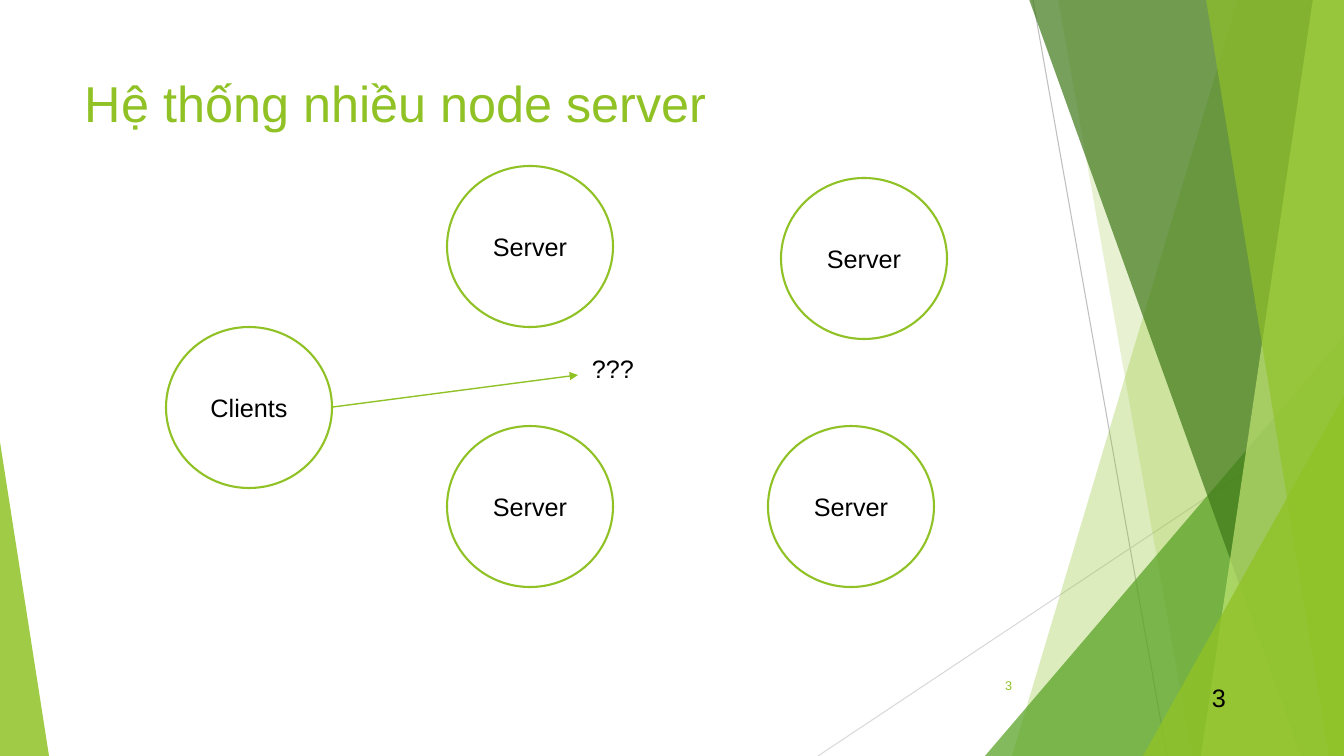
from lxml.etree import SubElement
from pptx import Presentation
from pptx.dml.color import RGBColor
from pptx.enum.shapes import MSO_CONNECTOR as Connector, MSO_SHAPE as Preset
from pptx.enum.text import MSO_ANCHOR as Anchor, MSO_AUTO_SIZE as AutoSize, PP_ALIGN as Align
from pptx.oxml.ns import qn
from pptx.util import Emu, Pt

PIXEL = 914400 / 100.8
WIDTH, HEIGHT = 1344, 756
FONT = "Arial"
GREEN, LEAF, FOREST, LIME = "90C226", "54A021", "3F7819", "C0E474"
BLACK, WHITE = "000000", "FFFFFF"
NODE_SIZE = (166, 161)


def px(length):
    return Emu(round(length * PIXEL))


def color(hex_string):
    return RGBColor.from_string(hex_string)


def fill_shape(shape, fill, opacity=100):
    shape.shadow.inherit = False
    shape.fill.solid()
    shape.fill.fore_color.rgb = color(fill)
    if opacity < 100:
        fill_color = shape.element.spPr.find(qn("a:solidFill"))[0]
        SubElement(fill_color, qn("a:alpha"), val=str(opacity * 1000))


def write_text(shape, text, size=18, ink=BLACK, align=Align.LEFT,
               anchor=Anchor.TOP, wrap=True, grow=False):
    frame = shape.text_frame
    frame.word_wrap = wrap
    frame.auto_size = AutoSize.SHAPE_TO_FIT_TEXT if grow else AutoSize.NONE
    frame.vertical_anchor = anchor
    paragraph = frame.paragraphs[0]
    paragraph.alignment = align
    run = paragraph.add_run()
    run.text = text
    run.font.name = FONT
    run.font.size = Pt(size)
    run.font.color.rgb = color(ink)


def add_text(slide, box, text, **text_format):
    shape = slide.shapes.add_textbox(*map(px, box))
    write_text(shape, text, **text_format)


def add_line(slide, start, end, ink, weight, arrow=False):
    connector = slide.shapes.add_connector(
        Connector.STRAIGHT, *map(px, start + end))
    connector.line.color.rgb = color(ink)
    connector.line.width = Pt(weight)
    properties = connector.element.spPr
    if arrow:
        SubElement(properties.find(qn("a:ln")), qn("a:tailEnd"), type="triangle")
    SubElement(properties, qn("a:effectLst"))


def add_facet(slide, top_left, bottom_left, fill, opacity):
    builder = slide.shapes.build_freeform(top_left, -1, scale=PIXEL)
    builder.add_line_segments(
        [(WIDTH, -1), (WIDTH, HEIGHT), (bottom_left, HEIGHT)], close=True)
    shape = builder.convert_to_shape()
    fill_shape(shape, fill, opacity)
    shape.line.fill.background()


def add_corner(slide, left, top, width, apex, fill, opacity):
    shape = slide.shapes.add_shape(
        Preset.ISOSCELES_TRIANGLE, *map(px, (left, top, width, HEIGHT - top)))
    shape.adjustments[0] = apex
    fill_shape(shape, fill, opacity)
    shape.line.fill.background()


def add_node(slide, left, top, label):
    shape = slide.shapes.add_shape(
        Preset.OVAL, *map(px, (left, top) + NODE_SIZE))
    fill_shape(shape, WHITE)
    shape.line.color.rgb = color(GREEN)
    shape.line.width = Pt(1.5)
    write_text(shape, label, align=Align.CENTER, anchor=Anchor.MIDDLE)


def add_background(slide):
    add_line(slide, (1033, 0), (1167, HEIGHT), "BFBFBF", 0.75)
    add_line(slide, (WIDTH, 406), (818, HEIGHT), "D9D9D9", 0.75)
    add_facet(slide, 1238, 1012, GREEN, 30)
    add_facet(slide, 1058, 1192, GREEN, 20)
    add_corner(slide, 985, 336, 359, 1, LEAF, 72)
    add_facet(slide, 1029, 1301, FOREST, 70)
    add_facet(slide, 1313, 1201, LIME, 70)
    add_facet(slide, 1206, 1329, GREEN, 65)
    add_corner(slide, 1143, 396, 201, 1, GREEN, 80)
    add_corner(slide, 0, 442, 49, 0, GREEN, 85)


def main():
    presentation = Presentation()
    presentation.slide_width, presentation.slide_height = px(WIDTH), px(HEIGHT)
    slide = presentation.slides.add_slide(presentation.slide_layouts[6])
    add_background(slide)
    add_text(slide, (75, 67, 948, 145), "Hệ thống nhiều node server",
             size=36, ink=GREEN)
    add_text(slide, (947, 666, 75, 40), "3", size=9, ink=GREEN,
             align=Align.RIGHT, anchor=Anchor.MIDDLE)
    add_node(slide, 166, 327, "Clients")
    for left, top in [(447, 166), (447, 426), (781, 178), (768, 426)]:
        add_node(slide, left, top, "Server")
    add_line(slide, (333, 407), (578, 375), GREEN, 1, arrow=True)
    add_text(slide, (582, 348, 62, 40), "???", wrap=False, grow=True)
    add_text(slide, (1202, 677, 51, 40), "3", grow=True)
    presentation.save("out.pptx")


main()
